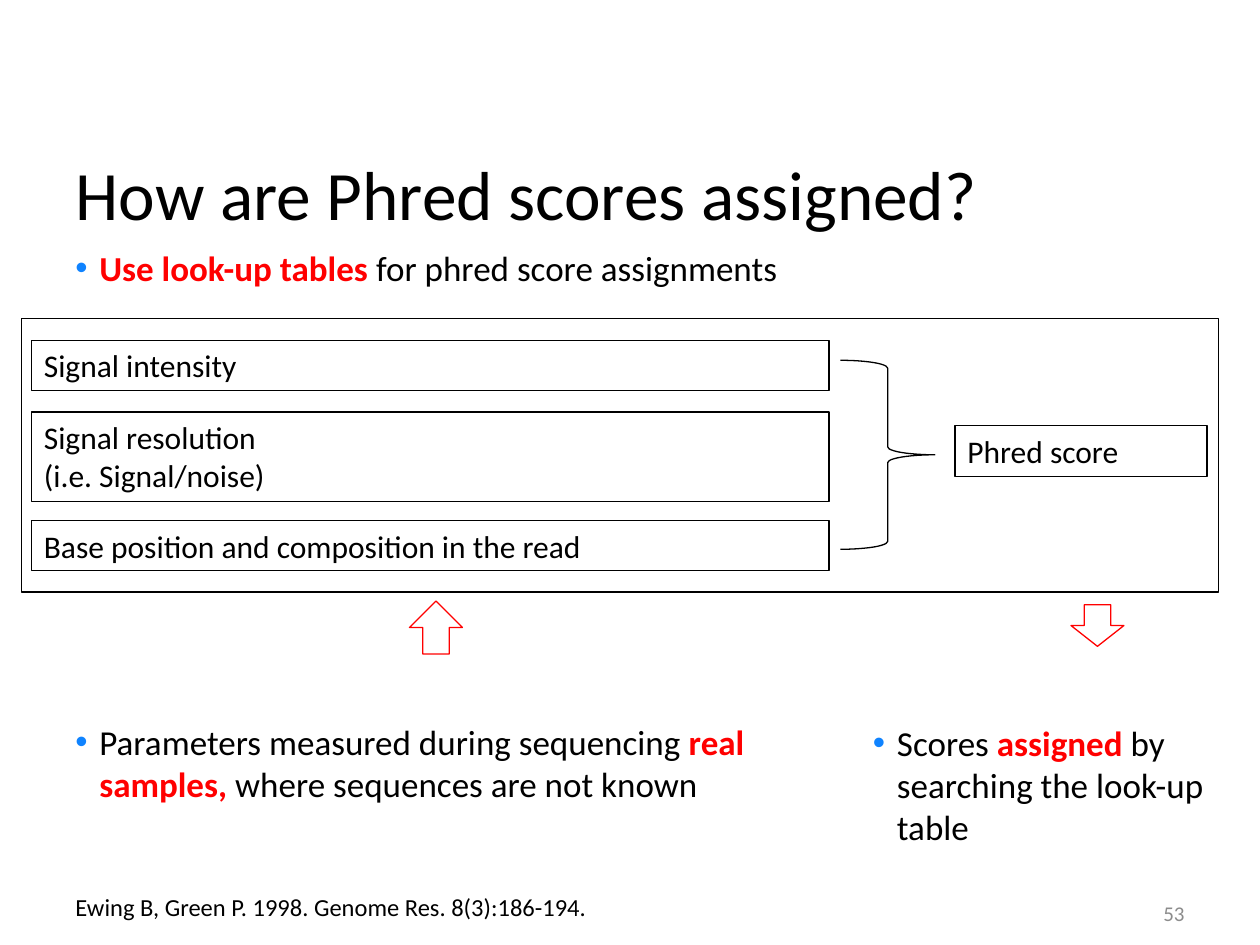
from dataclasses import dataclass

from lxml import etree
from pptx import Presentation
from pptx import util as u
from pptx.dml.color import RGBColor
from pptx.enum import shapes, text
from pptx.oxml.ns import qn

EMU_PER_PX = 9144  # 100 px to the inch


@dataclass(frozen=True)
class Theme:
    font: str = "Calibri"
    ink: str = "000000"
    accent: str = "FF0000"
    bullet: str = "0F83FF"
    muted: str = "8C8C8C"
    title: float = 39.6
    body: int = 20
    label: int = 18
    note: int = 14
    number: int = 12
    line: float = 0.75


THEME = Theme()


def px(*lengths):
    return [u.Emu(length * EMU_PER_PX) for length in lengths]


def add_run(para, words, size, color=THEME.ink, bold=False):
    span = para.add_run()
    span.text = words
    span.font.name = THEME.font
    span.font.size = u.Pt(size)
    span.font.bold = bold
    span.font.color.rgb = RGBColor.from_string(color)


def add_textbox(page, box):
    frame = page.shapes.add_textbox(*px(*box)).text_frame
    frame.word_wrap = True
    return frame


def add_outline(page, kind, box, color=THEME.ink):
    """Unfilled preset shape with a thin line."""
    shape = page.shapes.add_shape(kind, *px(*box))
    shape.shadow.inherit = False
    shape.fill.background()
    shape.line.color.rgb = RGBColor.from_string(color)
    shape.line.width = u.Pt(THEME.line)
    return shape


def add_label(page, box, lines):
    frame = add_outline(page, shapes.MSO_SHAPE.RECTANGLE, box).text_frame
    frame.word_wrap = True
    frame.vertical_anchor = text.MSO_ANCHOR.TOP
    for index, words in enumerate(lines):
        para = frame.add_paragraph() if index else frame.paragraphs[0]
        para.alignment = text.PP_ALIGN.LEFT
        add_run(para, words, THEME.label)


def add_bullet(page, box, parts):
    """Bulleted paragraph; each part is (words, is emphasised)."""
    para = add_textbox(page, box).paragraphs[0]
    props = para._p.get_or_add_pPr()
    indent = px(19)[0]
    props.set("marL", str(indent))
    props.set("indent", str(-indent))
    color = etree.SubElement(props, qn("a:buClr"))
    etree.SubElement(color, qn("a:srgbClr"), val=THEME.bullet)
    etree.SubElement(props, qn("a:buFont"), typeface="Arial")
    etree.SubElement(props, qn("a:buChar"), char="•")
    for words, strong in parts:
        add_run(para, words, THEME.body, THEME.accent if strong else THEME.ink, strong)


def add_title(page, box, words):
    title = page.shapes.title
    title.left, title.top, title.width, title.height = px(*box)
    frame = title.text_frame
    frame.vertical_anchor = text.MSO_ANCHOR.MIDDLE
    para = frame.paragraphs[0]
    para.alignment = text.PP_ALIGN.LEFT
    para.line_spacing = 0.9
    add_run(para, words, THEME.title)


def add_lookup_table(page, box):
    """Frame holding the measured parameters, a brace and the score."""
    left, top, width, height = box
    # Parameters: offset from the frame's top, height, lines
    parameters = [
        (17, 40, ["Signal intensity"]),
        (74, 71, ["Signal resolution", "(i.e. Signal/noise)"]),
        (160, 40, ["Base position and composition in the read"]),
    ]
    for offset, tall, lines in parameters:
        add_label(page, (left + 8, top + offset, 633, tall), lines)
    # Result
    add_label(page, (left + width - 209, top + 85, 200, 40), ["Phred score"])
    add_outline(page, shapes.MSO_SHAPE.RIGHT_BRACE, (left + 650, top + 33, 75, 150))
    add_outline(page, shapes.MSO_SHAPE.RECTANGLE, box)


def add_flow_arrows(page, box):
    """Arrow into the parameters and arrow out of the score."""
    left, top, width, height = box
    add_outline(page, shapes.MSO_SHAPE.UP_ARROW, (left, top, 42, height), THEME.accent)
    add_outline(page, shapes.MSO_SHAPE.DOWN_ARROW,
                (left + width - 42, top + 3, 42, 33), THEME.accent)


def add_footer(page, box, citation, number):
    left, top, width, height = box
    para = add_textbox(page, (left, top, 638, height)).paragraphs[0]
    para.line_spacing = 0.9
    add_run(para, citation, THEME.note)
    # Page number
    frame = add_textbox(page, (left + width - 233, top - 1, 233, height))
    frame.vertical_anchor = text.MSO_ANCHOR.MIDDLE
    para = frame.paragraphs[0]
    para.alignment = text.PP_ALIGN.RIGHT
    add_run(para, number, THEME.number, THEME.muted)


def main():
    deck = Presentation()
    deck.slide_width, deck.slide_height = px(1000, 750)
    page = deck.slides.add_slide(deck.slide_layouts[5])

    add_title(page, (50, 132, 900, 50), "How are Phred scores assigned?")
    add_bullet(page, (50, 191, 650, 44), [
        ("Use look-up tables ", True), ("for phred score assignments", False)])
    add_lookup_table(page, (17, 253, 950, 217))
    add_flow_arrows(page, (325, 477, 567, 42))
    add_bullet(page, (50, 567, 650, 77), [
        ("Parameters measured during sequencing ", False),
        ("real samples, ", True),
        ("where sequences are not known", False)])
    add_bullet(page, (683, 568, 292, 110), [
        ("Scores ", False), ("assigned ", True),
        ("by searching the look-up table", False)])
    add_footer(page, (50, 706, 900, 40),
               "Ewing B, Green P. 1998. Genome Res. 8(3):186-194.", "53")

    deck.save("out.pptx")


if __name__ == "__main__":
    main()
